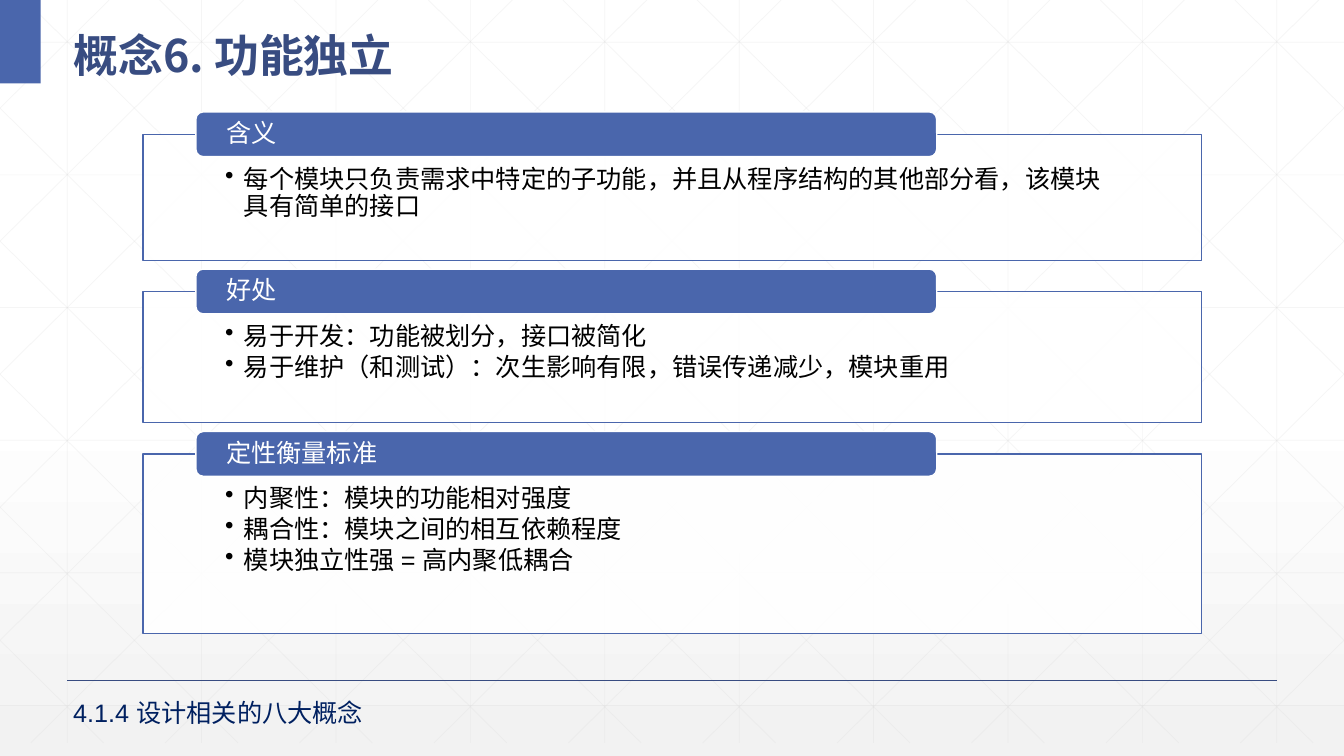
import copy

import lxml.etree
import pptx
import pptx.dml.color
import pptx.enum.shapes
import pptx.enum.text
import pptx.oxml.ns
import pptx.util

Pt = pptx.util.Pt
qn = pptx.oxml.ns.qn
MIDDLE = pptx.enum.text.MSO_ANCHOR.MIDDLE
TOP = pptx.enum.text.MSO_ANCHOR.TOP
RECTANGLE = pptx.enum.shapes.MSO_SHAPE.RECTANGLE
ROUNDED = pptx.enum.shapes.MSO_SHAPE.ROUNDED_RECTANGLE

WIDTH, HEIGHT = 960, 540


def colour(value):
    return pptx.dml.color.RGBColor.from_string(value)


def set_opacity(element, percent):
    for tint in element.iter(qn("a:srgbClr")):
        lxml.etree.SubElement(tint, qn("a:alpha")).set("val", str(percent * 1000))


class ConceptSlide:
    blue, navy, footer_ink = "4A66AC", "384C81", "002060"
    white, black, grid_grey = "FFFFFF", "000000", "D9D9D9"
    body_font, cjk_font = "Arial", "Noto Sans CJK SC"

    def __init__(self, deck):
        self.slide = deck.slides.add_slide(deck.slide_layouts[5])
        self.shapes = self.slide.shapes

    def background(self):
        fill = self.slide.background.fill
        fill.gradient()
        fill.gradient_angle = 270
        first, last = fill.gradient_stops
        first.color.rgb, last.color.rgb = colour(self.white), colour("F2F2F2")
        first.position, last.position = 0, 1
        stops = next(self.slide.element.iter(qn("a:gsLst")))
        middle = copy.deepcopy(stops[0])
        middle.set("pos", "53000")
        stops.insert(1, middle)
        set_opacity(stops[2], 65)

    def line(self, start, end, ink, weight, opacity=None):
        connector = self.shapes.add_connector(
            pptx.enum.shapes.MSO_CONNECTOR.STRAIGHT, *map(Pt, start + end))
        connector.line.color.rgb = colour(ink)
        connector.line.width = Pt(weight)
        properties = connector.element.spPr
        if opacity:
            set_opacity(properties, opacity)
        lxml.etree.SubElement(properties, qn("a:effectLst"))

    def grid_line(self, start, end):
        self.line(start, end, self.grid_grey, 0.5, 25)

    def box(self, kind, bounds, fill, outline=None, opacity=None):
        shape = self.shapes.add_shape(kind, *map(Pt, bounds))
        shape.shadow.inherit = False
        shape.fill.solid()
        shape.fill.fore_color.rgb = colour(fill)
        if opacity:
            set_opacity(shape.element.spPr, opacity)
        if outline:
            shape.line.color.rgb = colour(outline)
            shape.line.width = Pt(1)
        else:
            shape.line.fill.background()
        return shape

    def add_text(self, shape, lines, ink, size=18, font=None, bold=False, anchor=TOP,
                 insets=(7.2, 3.6, 7.2, 3.6), spacing=None, after=0, bullet=False):
        frame = shape.text_frame
        frame.word_wrap = True
        frame.auto_size = pptx.enum.text.MSO_AUTO_SIZE.NONE
        frame.vertical_anchor = anchor
        (frame.margin_left, frame.margin_top,
         frame.margin_right, frame.margin_bottom) = map(Pt, insets)
        for index, text in enumerate(lines):
            paragraph = frame.add_paragraph() if index else frame.paragraphs[0]
            paragraph.alignment = pptx.enum.text.PP_ALIGN.LEFT
            paragraph.line_spacing = spacing
            paragraph.space_after = Pt(after)
            if bullet:
                paragraph.level = 1
                properties = paragraph._p.get_or_add_pPr()
                properties.set("marL", str(Pt(13.5)))
                properties.set("indent", str(-Pt(13.5)))
                lxml.etree.SubElement(properties, qn("a:buChar")).set("char", "•")
            run = paragraph.add_run()
            run.text = text
            run.font.size = Pt(size)
            run.font.bold = bold
            run.font.color.rgb = colour(ink)
            run.font.name = font or self.body_font
            east_asian = lxml.etree.SubElement(run._r.get_or_add_rPr(), qn("a:ea"))
            east_asian.set("typeface", self.cjk_font)

    def title(self, text):
        heading = self.shapes.title
        self.shapes.element.append(heading.element)
        heading.left, heading.top, heading.width, heading.height = map(
            Pt, (45.2, 7.2, 894.2, 52.6))
        self.add_text(heading, [text], self.navy, 32, self.cjk_font, True, MIDDLE,
                      spacing=1.3)

    def section(self, label, points, top, height):
        left, width, label_height = 102.1, 756, 32
        card = self.box(RECTANGLE, (left, top, width, height), self.white, self.blue, 90)
        self.add_text(card, points, self.black, insets=(58.7, 22.9, 58.7, 10),
                      spacing=0.9, after=2.7, bullet=True)
        tab = self.box(
            ROUNDED,
            (left + width * 0.05, top - label_height / 2, width * 0.7, label_height),
            self.blue, self.white)
        self.add_text(tab, [label], self.white, anchor=MIDDLE,
                      insets=(20, 0, 20, 0), spacing=0.9)

    def footer(self, text):
        note = self.shapes.add_textbox(*map(Pt, (45.2, 494.8, 272, 29)))
        self.add_text(note, [text], self.footer_ink)


def draw_grid(page):
    floor, step, slope = 530.6, 96, 0.99
    for column in range(10):
        x = 48 + step * column
        page.grid_line((x, 0), (x, floor))
    for row in range(6):
        y = 30.2 + 94.75 * row
        page.grid_line((0, y), (WIDTH, y))
    for diagonal in range(-5, 10):
        origin = 18 + step * diagonal
        x1, x2 = max(0, origin), min(WIDTH, origin + floor / slope)
        y1, y2 = (x1 - origin) * slope, (x2 - origin) * slope
        page.grid_line((x1, y1), (x2, y2))
        page.grid_line((WIDTH - x1, y1), (WIDTH - x2, y2))


def main():
    deck = pptx.Presentation()
    deck.slide_width, deck.slide_height = Pt(WIDTH), Pt(HEIGHT)
    page = ConceptSlide(deck)
    page.background()
    draw_grid(page)
    page.line((48, 486), (912, 486), page.navy, 1)
    page.box(RECTANGLE, (0, 0, 29, 59.5), page.blue)
    page.title("概念6. 功能独立")

    sections = [
        ("含义", 90, ["每个模块只负责需求中特定的子功能，并且从程序结构的其他部分看，"
                    "该模块具有简单的接口"]),
        ("好处", 93.7, ["易于开发：功能被划分，接口被简化",
                      "易于维护（和测试）：次生影响有限，错误传递减少，模块重用"]),
        ("定性衡量标准", 128.3, ["内聚性：模块的功能相对强度",
                           "耦合性：模块之间的相互依赖程度",
                           "模块独立性强 = 高内聚低耦合"]),
    ]
    top, gap = 95.9, 22.3
    for label, height, points in sections:
        page.section(label, points, top, height)
        top += height + gap

    page.footer("4.1.4 设计相关的八大概念")
    deck.save("out.pptx")


if __name__ == "__main__":
    main()
